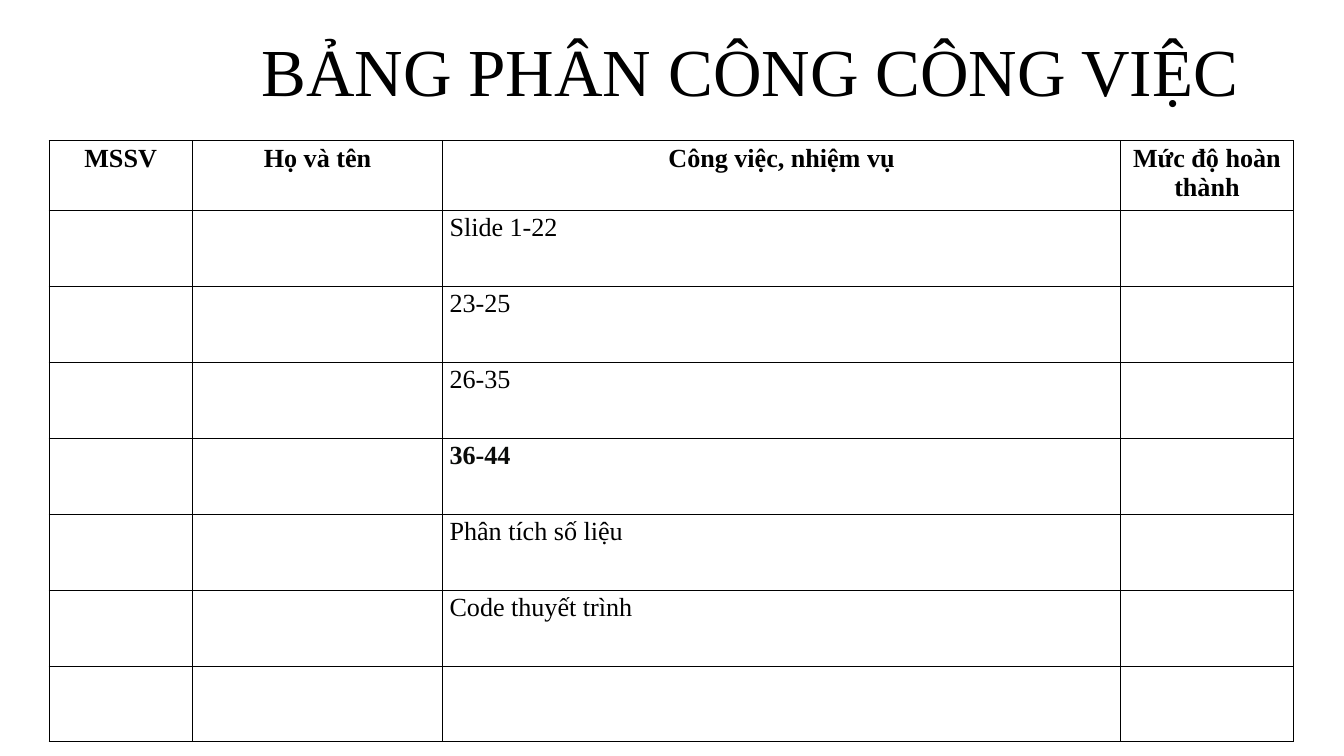
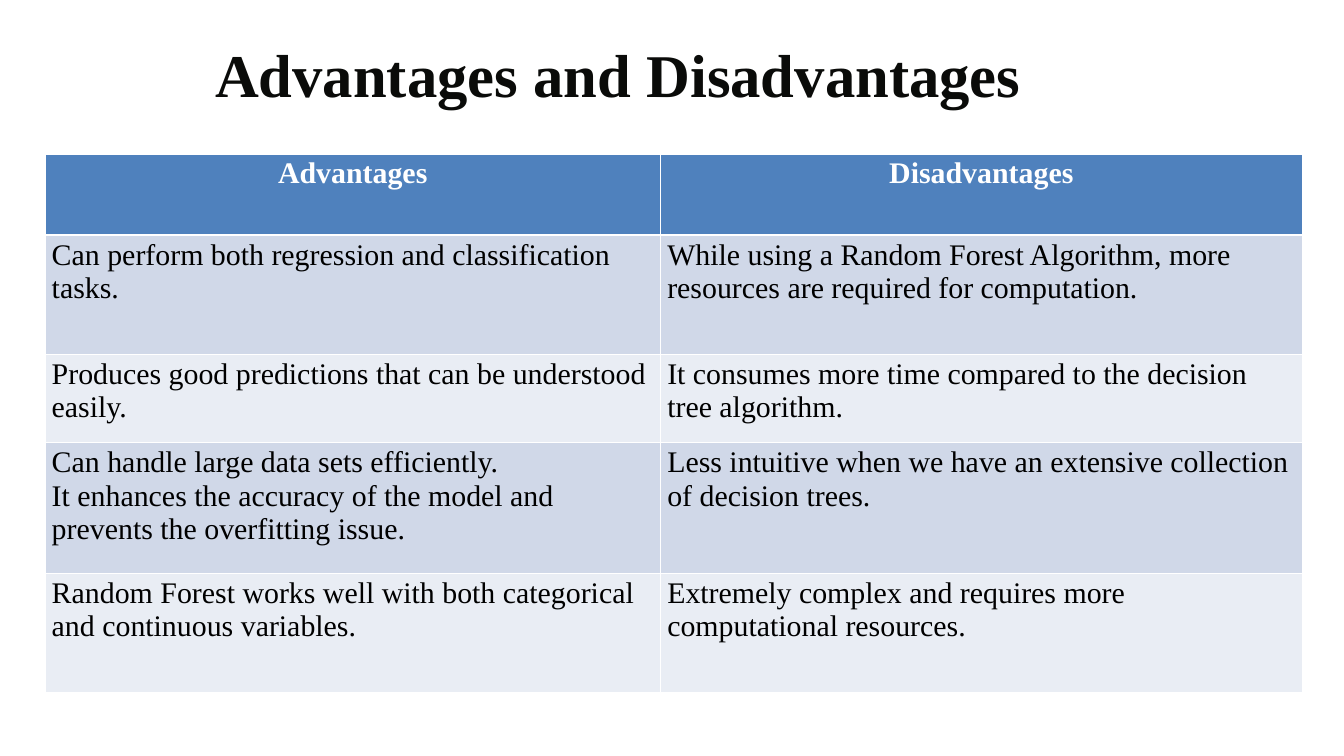
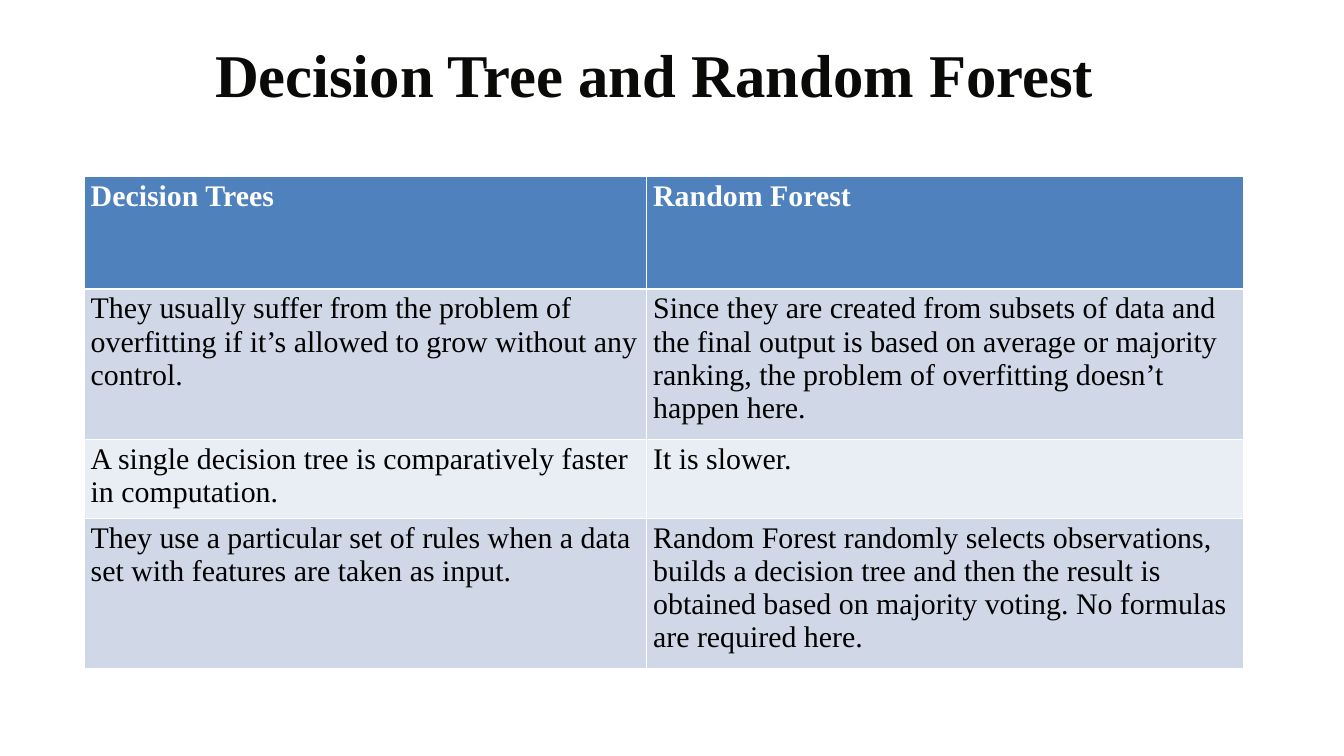
from dataclasses import dataclass
from pptx import Presentation
from pptx import util as u
from pptx.dml.color import RGBColor
from pptx.enum import text as t
from pptx.oxml import parse_xml
from pptx.oxml.ns import nsdecls


@dataclass(frozen=True)
class Theme:
    font: str = "Times New Roman"
    black: str = "000000"
    ink: str = "0A0B09"
    white: str = "FFFFFF"
    head: str = "4F81BD"
    bands: tuple = ("D0D8E8", "E9EDF4")
    thin: float = 1
    thick: float = 3


T = Theme()
WIDTH, HEIGHT = 20, 11.25
LEFT, MID = t.PP_ALIGN.LEFT, t.PP_ALIGN.CENTER

# Looks: title box, title type and table type
PLAIN = dict(box=(3.3, 0.23, 15.72, 1.5), drop=0, size=72, bold=False,
             color=T.black, align=MID, lead=u.Pt(100.8), cell=28,
             head=T.black, line=T.black, filled=False, rule=T.thin)
BANDED = dict(box=(3.2, 0.42, 15.72, 1.09), drop=0.13, size=65, bold=True,
              color=T.ink, align=LEFT, lead=None, cell=32,
              head=T.white, line=T.white, filled=True, rule=T.thick)

# Content: the first row of each table is its header
SLIDES = [
    dict(title="BẢNG PHÂN CÔNG CÔNG VIỆC", look=PLAIN, at=(0.73, 2.09),
         cols=[2.13, 3.73, 10.08, 2.58], heights=[1.04] + [1.13] * 7,
         align=MID, strong=["36-44"],
         rows=[("MSSV", "Họ và tên", "Công việc, nhiệm vụ", "Mức độ hoàn thành")]
         + [("", "", job, "") for job in (
             "Slide 1-22", "23-25", "26-35", "36-44",
             "Phân tích số liệu", "Code thuyết trình", "")]),
    dict(title="Advantages and Disadvantages", look=BANDED, at=(0.67, 2.29),
         cols=[9.16, 9.55], heights=[1.21, 1.77, 1.32, 1.94, 1.77],
         align=MID, strong=[],
         rows=[
             ("Advantages", "Disadvantages"),
             ("Can perform both regression and classification tasks.",
              "While using a Random Forest Algorithm, more resources are "
              "required for computation."),
             ("Produces good predictions that can be understood easily.",
              "It consumes more time compared to the decision tree algorithm."),
             ("Can handle large data sets efficiently.\nIt enhances the accuracy "
              "of the model and prevents the overfitting issue.",
              "Less intuitive when we have an extensive collection of "
              "decision trees."),
             ("Random Forest works well with both categorical and continuous "
              "variables.",
              "Extremely complex and requires more computational resources."),
         ]),
    dict(title="Decision Tree and Random Forest", look=BANDED, at=(1.25, 2.62),
         cols=[8.37, 8.88], heights=[1.68, 2.24, 1.17, 2.24],
         align=LEFT, strong=[],
         rows=[
             ("Decision Trees", "Random Forest"),
             ("They usually suffer from the problem of overfitting if it’s "
              "allowed to grow without any control.",
              "Since they are created from subsets of data and the final output "
              "is based on average or majority ranking, the problem of "
              "overfitting doesn’t happen here."),
             ("A single decision tree is comparatively faster in computation.",
              "It is slower."),
             ("They use a particular set of rules when a data set with features "
              "are taken as input.",
              "Random Forest randomly selects observations, builds a decision "
              "tree and then the result is obtained based on majority voting. "
              "No formulas are required here."),
         ]),
]


def put(obj, **vals):
    for name, val in vals.items():
        setattr(obj, name, val)


def style(frame, size, color, bold, align, lead=None):
    for para in frame.paragraphs:
        put(para, alignment=align, line_spacing=lead)
        put(para.font, name=T.font, size=u.Pt(size), bold=bold)
        para.font.color.rgb = RGBColor.from_string(color)


def edge(cell, color, **widths):
    """Draw the cell's borders; widths in points by side."""
    props = cell._tc.get_or_add_tcPr()
    for side in "LRTB":
        wide = int(u.Pt(widths.get(side, T.thin)))
        props.append(parse_xml(
            f'<a:ln{side} {nsdecls("a")} w="{wide}"><a:solidFill>'
            f'<a:srgbClr val="{color}"/></a:solidFill></a:ln{side}>'))


def add_title(slide, data):
    look, shape = data["look"], slide.shapes.title
    for name, val in zip(("left", "top", "width", "height"), look["box"]):
        setattr(shape, name, u.Inches(val))
    frame = shape.text_frame
    frame.text = data["title"]
    put(frame, word_wrap=True, auto_size=t.MSO_AUTO_SIZE.NONE,
        vertical_anchor=t.MSO_ANCHOR.TOP, margin_left=0, margin_right=0,
        margin_top=u.Inches(look["drop"]), margin_bottom=0)
    style(frame, look["size"], look["color"], look["bold"], look["align"],
          look["lead"])


def add_grid(slide, data):
    look, rows = data["look"], data["rows"]
    cols, highs = data["cols"], data["heights"]
    area = [u.Inches(v) for v in (*data["at"], sum(cols), sum(highs))]
    grid = slide.shapes.add_table(len(rows), len(cols), *area).table
    for col, wide in zip(grid.columns, cols):
        col.width = u.Inches(wide)
    for row, high in zip(grid.rows, highs):
        row.height = u.Inches(high)

    for r, words in enumerate(rows):
        top = r == 0
        # The rule under the header is shared by rows 0 and 1
        rule = {0: {"B": look["rule"]}, 1: {"T": look["rule"]}}.get(r, {})
        for c, word in enumerate(words):
            cell = grid.cell(r, c)
            cell.text = word
            strong = word in data["strong"]
            color = look["head"] if top else T.ink if strong else T.black
            style(cell.text_frame, look["cell"], color, top or strong,
                  data["align"] if top else LEFT)
            edge(cell, look["line"], **rule)
            if look["filled"]:
                cell.fill.solid()
                cell.fill.fore_color.rgb = RGBColor.from_string(
                    T.head if top else T.bands[(r - 1) % 2])
            else:
                cell.fill.background()


def main():
    deck = Presentation()
    put(deck, slide_width=u.Inches(WIDTH), slide_height=u.Inches(HEIGHT))
    for data in SLIDES:
        slide = deck.slides.add_slide(deck.slide_layouts.get_by_name("Title Only"))
        add_title(slide, data)
        add_grid(slide, data)
    deck.save("out.pptx")


if __name__ == "__main__":
    main()
